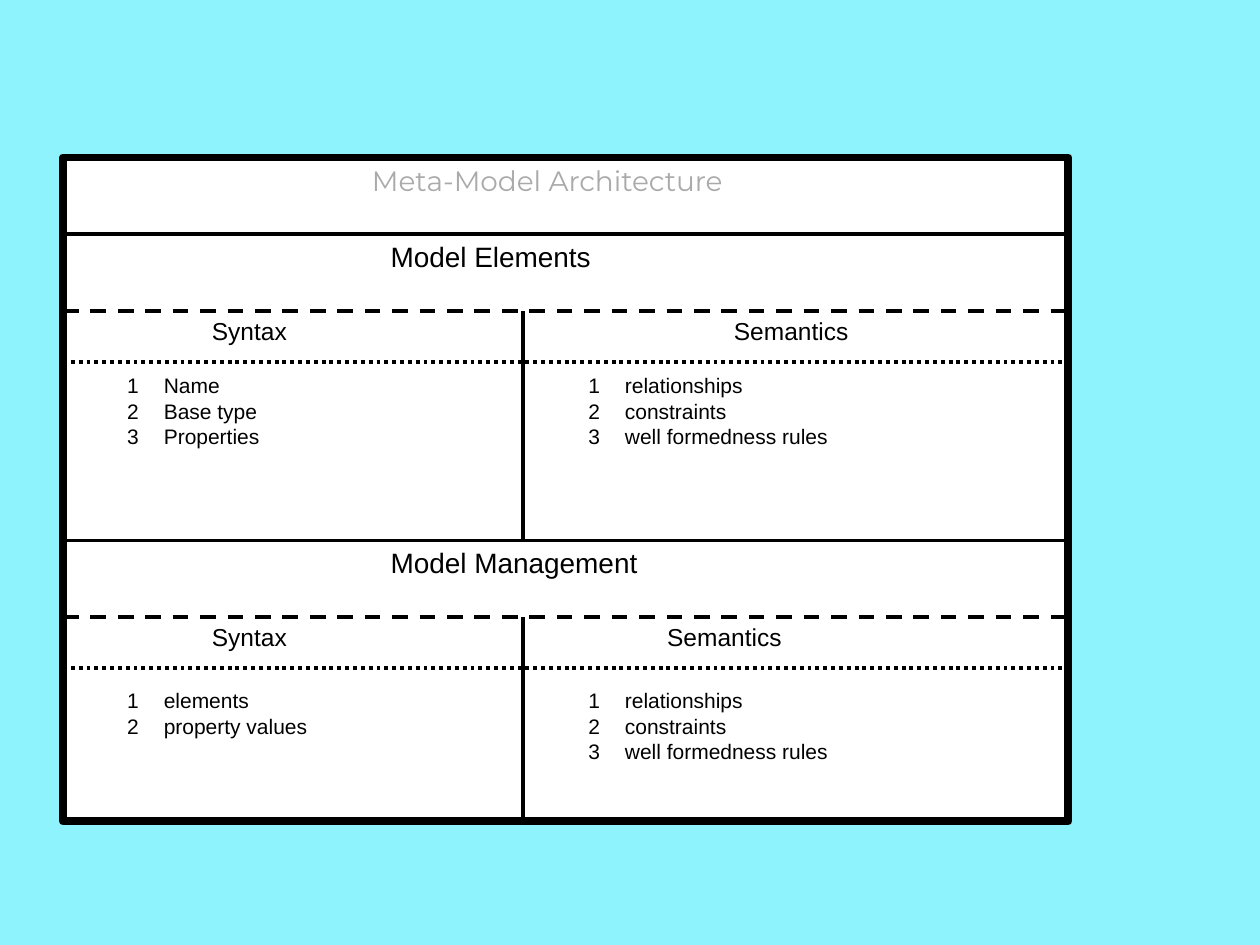
from pptx import Presentation
from pptx import util as u
from pptx.dml.color import RGBColor
from pptx.enum import dml, shapes, text
from pptx.oxml.ns import qn
from lxml import etree

BLACK = RGBColor(0, 0, 0)
WHITE = RGBColor(255, 255, 255)
GREY = RGBColor(0xAA, 0xAA, 0xAA)
CYAN = RGBColor(0x8F, 0xF3, 0xFD)
DASH = dml.MSO_LINE.DASH
DOTS = dml.MSO_LINE.ROUND_DOT
COLS, ROWS = 100, 75
LEFT, TOP, RIGHT, BASE, MID = 5, 12.5, 84.8, 65.2, 41.5

SECTIONS = [
    (18.6, 42.9, "Model Elements", 48, 10.6,
     ["Name", "Base type", "Properties"]),
    (42.9, BASE, "Model Management", 42.7, 11.3,
     ["elements", "property values"]),
]
RULES = ["relationships", "constraints", "well formedness rules"]


class Deck:
    font = "Arial"
    ink = BLACK

    def __init__(self):
        self.prs = Presentation()
        self.prs.slide_width = u.Inches(10)
        self.prs.slide_height = u.Inches(7.5)
        self.slide = self.prs.slides.add_slide(self.prs.slide_layouts[6])
        fill = self.slide.background.fill
        fill.solid()
        fill.fore_color.rgb = CYAN

    def x(self, cols):
        return round(self.prs.slide_width * cols / COLS)

    def y(self, rows):
        return round(self.prs.slide_height * rows / ROWS)

    def frame(self, left, top, right, base):
        box = self.slide.shapes.add_shape(
            shapes.MSO_SHAPE.RECTANGLE, self.x(left), self.y(top),
            self.x(right - left), self.y(base - top))
        box.shadow.inherit = False
        box.fill.solid()
        box.fill.fore_color.rgb = WHITE
        box.line.color.rgb = self.ink
        box.line.width = u.Pt(4.5)

    def rule(self, left, top, right, base, dash=None):
        line = self.slide.shapes.add_connector(
            shapes.MSO_CONNECTOR.STRAIGHT, self.x(left), self.y(top),
            self.x(right), self.y(base))
        line.line.color.rgb = self.ink
        line.line.width = u.Pt(2.25)
        if dash:
            line.line.dash_style = dash
        etree.SubElement(line._element.spPr, qn("a:effectLst"))

    def label(self, left, top, width, height, lines, size,
              align=text.PP_ALIGN.LEFT, font=None, ink=None, count=False):
        box = self.slide.shapes.add_textbox(
            self.x(left), self.y(top), self.x(width), self.y(height))
        body = box.text_frame
        body.word_wrap = True
        body.margin_left = body.margin_right = u.Inches(0.09)
        body.margin_top = body.margin_bottom = u.Inches(0.04)
        body.text = "\n".join(lines)
        for par in body.paragraphs:
            par.alignment = align
            if count:
                self.number(par)
            par.font.size = u.Pt(size)
            par.font.name = font or self.font
            par.font.color.rgb = ink or self.ink

    def number(self, par):
        props = par._p.get_or_add_pPr()
        props.set("marL", str(u.Inches(0.54)))
        props.set("indent", str(-u.Inches(0.29)))
        etree.SubElement(props, qn("a:buFont"), typeface=self.font)
        etree.SubElement(props, qn("a:buAutoNum"), type="arabicPlain")


def main():
    deck = Deck()
    mid = text.PP_ALIGN.CENTER
    deck.frame(LEFT, TOP, RIGHT, BASE)
    deck.label(16.6, 12.6, 53.7, 5.1, ["Meta-Model Architecture"], 16,
               mid, "Montserrat", GREY)
    for top, base, name, sem, gap, parts in SECTIONS:
        split = top + 6.1
        deck.rule(LEFT, top, RIGHT, top)
        deck.rule(LEFT, split, RIGHT, split, DASH)
        deck.rule(LEFT, top + 10.1, RIGHT, top + 10.1, DOTS)
        deck.rule(MID, split, MID, base)
        deck.label(30.1, top, 36.5, 6.1, [name], 16)
        for left, head in ((LEFT, "Syntax"), (sem, "Semantics")):
            deck.label(left, split, 29.6, 6.1, [head], 14, mid)
        for left, items in ((6.7, parts), (43.3, RULES)):
            deck.label(left, top + gap, 33.4, 6.9, items, 12, count=True)
    deck.prs.save("out.pptx")


if __name__ == "__main__":
    main()
